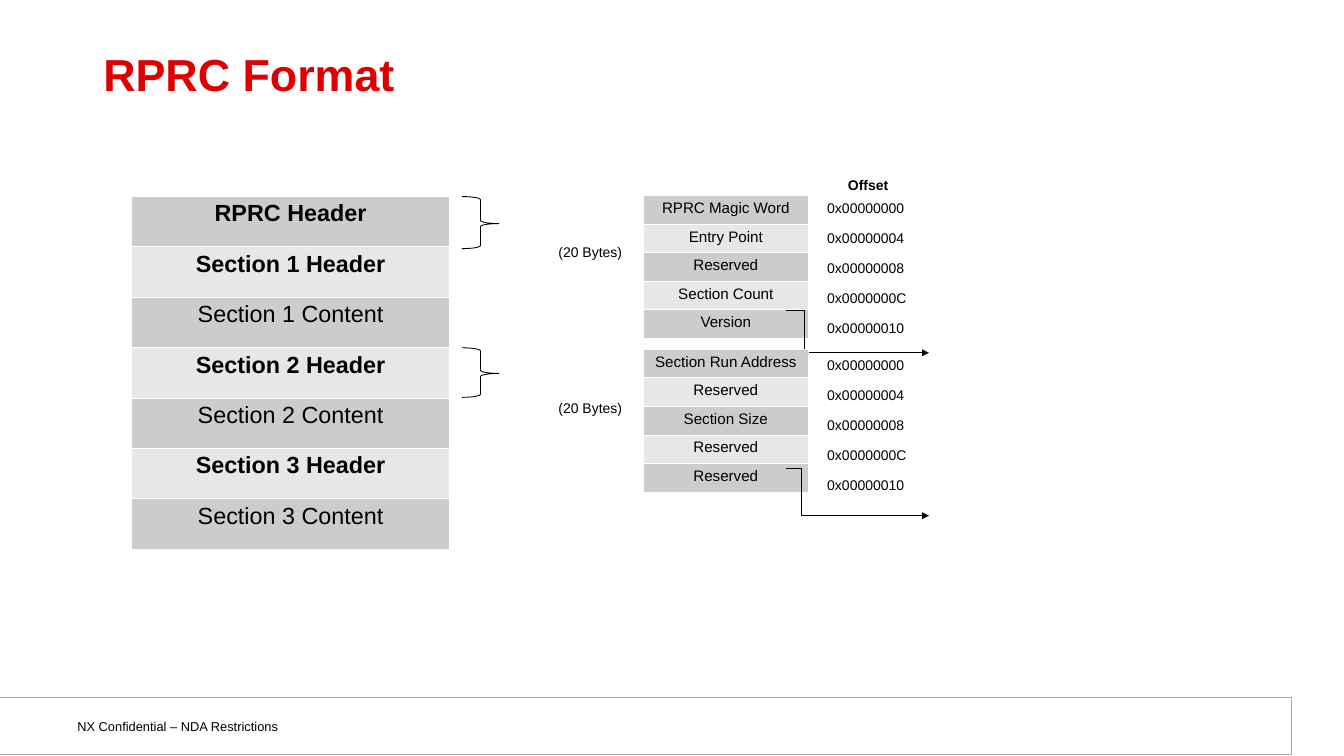
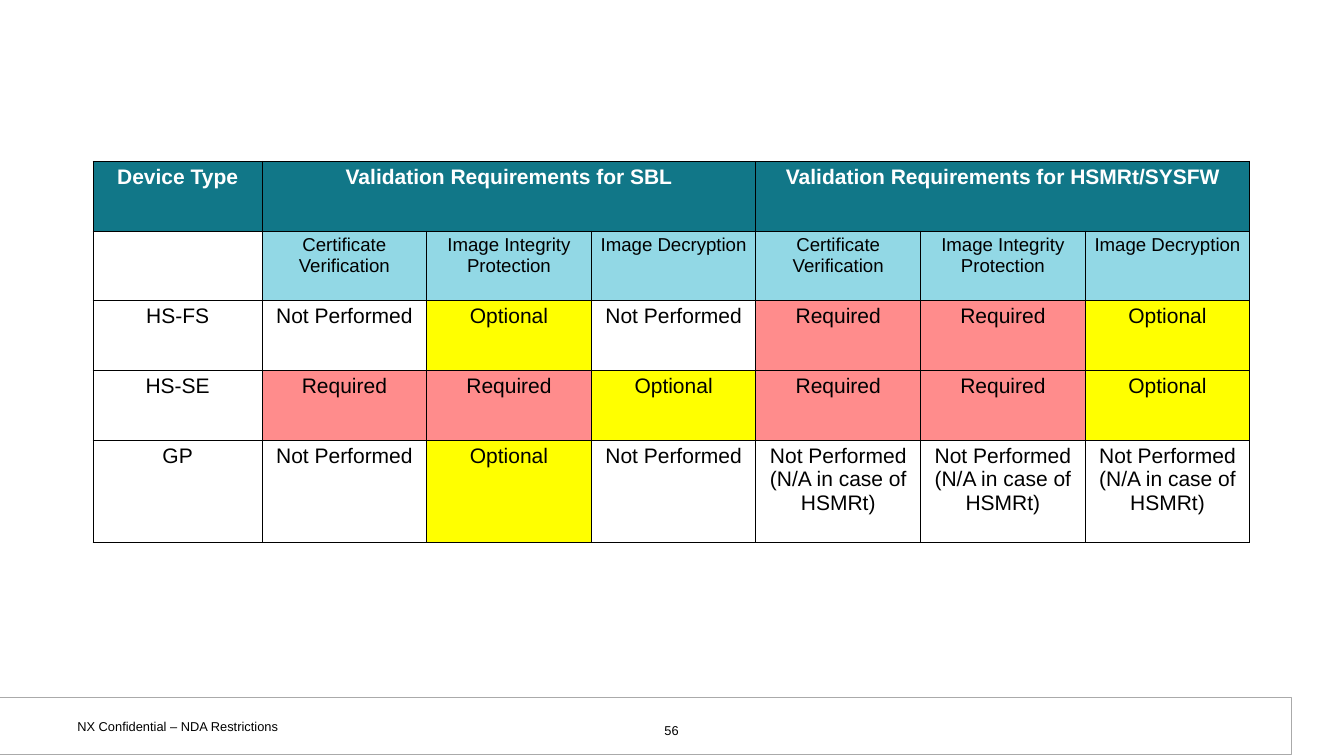
from dataclasses import dataclass

from lxml import etree
from pptx import Presentation
from pptx.dml.color import RGBColor
from pptx.enum.shapes import MSO_CONNECTOR, MSO_SHAPE
from pptx.enum.text import MSO_ANCHOR, PP_ALIGN
from pptx.oxml.ns import qn
from pptx.slide import Slide
from pptx.table import _Cell
from pptx.text.text import TextFrame
from pptx.util import Inches, Pt

LEFT, CENTER = PP_ALIGN.LEFT, PP_ALIGN.CENTER
TOP, MIDDLE = MSO_ANCHOR.TOP, MSO_ANCHOR.MIDDLE
RECTANGLE, BRACE = MSO_SHAPE.RECTANGLE, MSO_SHAPE.RIGHT_BRACE
ELBOW = MSO_CONNECTOR.ELBOW

COLORS = {
    "black": "000000",
    "white": "FFFFFF",
    "title": "DE0000",
    "footer_line": "AAAAAA",
    "band_dark": "CCCCCC",
    "band_light": "E7E7E7",
    "header": "117788",
    "subheader": "92D8E5",
    "optional": "FFFF00",
    "required": "FF8C8C",
}
STATUS_FILLS = {"Optional": "optional", "Required": "required"}
NARROW_MARGINS = (0.1, 0.05)
WIDE_MARGINS = (0.13, 0.07)
BAND_MARGINS = (0.12, 0.05)
LINE_WIDTH = 0.75
BORDER_WIDTH = 0.96


@dataclass(frozen=True)
class TextStyle:
    size: float
    color: str = "black"
    bold: bool = False
    alignment: PP_ALIGN = LEFT
    line_spacing: float = 1.0


@dataclass(frozen=True)
class Box:
    left: float
    top: float
    width: float
    height: float

    def lengths(self) -> tuple:
        return tuple(Inches(v) for v in (self.left, self.top, self.width, self.height))


@dataclass(frozen=True)
class HeaderLayout:
    """Fields of one header with its size note, brace and arrow."""
    fields: tuple
    table_top: float
    offset_top: float
    note_top: float
    brace: Box
    arrow: Box
    bend: int


TITLE = TextStyle(38.4, "title", True, line_spacing=0.85)
FOOTER = TextStyle(11)
PAGE_NUMBER = TextStyle(11, alignment=CENTER)
LABEL = TextStyle(12)
OFFSET_TITLE = TextStyle(12, bold=True, alignment=CENTER)
SECTION = TextStyle(20, alignment=CENTER)
SECTION_HEADER = TextStyle(20, bold=True, alignment=CENTER)
FIELD = TextStyle(13, alignment=CENTER)
TABLE_HEADER = TextStyle(18, "white", True, CENTER)
TABLE_SUBHEADER = TextStyle(16, alignment=CENTER)
TABLE_BODY = TextStyle(18, alignment=CENTER)

SECTIONS = ("RPRC Header", "Section 1 Header", "Section 1 Content", "Section 2 Header",
            "Section 2 Content", "Section 3 Header", "Section 3 Content")
OFFSETS = ("0x00000000", "0x00000004", "0x00000008", "0x0000000C", "0x00000010")
OFFSET_SPAN = 1.42
HEADERS = (
    HeaderLayout(("RPRC Magic Word", "Entry Point", "Reserved", "Section Count", "Version"),
                 2.33, 2.33, 2.85, Box(5.5, 2.34, 0.44, 0.62),
                 Box(9.36, 3.69, 1.7, 0.51), 12600),
    HeaderLayout(("Section Run Address", "Reserved", "Section Size", "Reserved", "Reserved"),
                 4.16, 4.2, 4.71, Box(5.5, 4.14, 0.44, 0.59),
                 Box(9.36, 5.58, 1.7, 0.56), 11000),
)

CHECKS = ("Certificate Verification", "Image Integrity Protection", "Image Decryption")
SKIPPED = "Not Performed"
NOT_APPLICABLE = "Not Performed\n(N/A in case of HSMRt)"
REQUIREMENTS = (
    ("Device Type", "Validation Requirements for SBL", "", "",
     "Validation Requirements for HSMRt/SYSFW", "", ""),
    ("", *CHECKS * 2),
    ("HS-FS", SKIPPED, "Optional", SKIPPED, "Required", "Required", "Optional"),
    ("HS-SE", *("Required", "Required", "Optional") * 2),
    ("GP", SKIPPED, "Optional", SKIPPED, *(NOT_APPLICABLE,) * 3),
)
REQUIREMENT_WIDTHS = (2.01, *(1.96,) * 6)
REQUIREMENT_HEIGHTS = (*(0.83,) * 4, 1.22)


def rgb(name: str) -> RGBColor:
    return RGBColor.from_string(COLORS[name])


def write_text(frame: TextFrame, text: str, style: TextStyle) -> None:
    frame.text = text
    font_values = {"name": "Arial", "size": Pt(style.size), "bold": style.bold}
    for paragraph in frame.paragraphs:
        paragraph.alignment = style.alignment
        paragraph.line_spacing = style.line_spacing
        for run in paragraph.runs:
            for attribute, value in font_values.items():
                setattr(run.font, attribute, value)
            run.font.color.rgb = rgb(style.color)


def set_margins(target: TextFrame | _Cell, margins: tuple[float, float]) -> None:
    horizontal, vertical = (Inches(margin) for margin in margins)
    values = {"margin_left": horizontal, "margin_right": horizontal,
              "margin_top": vertical, "margin_bottom": vertical}
    for attribute, value in values.items():
        setattr(target, attribute, value)


def add_text(slide: Slide, box: Box, text: str, style: TextStyle,
             margins: tuple[float, float] = NARROW_MARGINS,
             anchor: MSO_ANCHOR = TOP) -> None:
    frame = slide.shapes.add_textbox(*box.lengths()).text_frame
    frame.word_wrap = True
    frame.vertical_anchor = anchor
    set_margins(frame, margins)
    write_text(frame, text, style)


def add_outline(slide: Slide, kind: MSO_SHAPE, box: Box, line: str,
                fill: str | None = None, adjustments: tuple = ()) -> None:
    shape = slide.shapes.add_shape(kind, *box.lengths())
    shape.shadow.inherit = False
    if fill:
        shape.fill.solid()
        shape.fill.fore_color.rgb = rgb(fill)
    else:
        shape.fill.background()
    shape.line.color.rgb = rgb(line)
    shape.line.width = Pt(LINE_WIDTH)
    for index, value in enumerate(adjustments):
        shape.adjustments[index] = value


def add_elbow_arrow(slide: Slide, box: Box, bend: int) -> None:
    """Arrow from top left to bottom right, bent at a share of the width."""
    left, top, width, height = box.lengths()
    connector = slide.shapes.add_connector(ELBOW, left, top, left + width, top + height)
    connector.line.color.rgb = rgb("black")
    connector.line.width = Pt(LINE_WIDTH)
    properties = connector._element.spPr
    guides = properties.find(qn("a:prstGeom")).find(qn("a:avLst"))
    etree.SubElement(guides, qn("a:gd"), name="adj1", fmla=f"val {bend}")
    etree.SubElement(properties.find(qn("a:ln")), qn("a:tailEnd"), type="triangle")
    etree.SubElement(properties, qn("a:effectLst"))


def format_cell(cell: _Cell, text: str, style: TextStyle, fill: str, border: str,
                margins: tuple[float, float] = NARROW_MARGINS) -> None:
    properties = cell._tc.get_or_add_tcPr()
    for side in ("lnL", "lnR", "lnT", "lnB"):
        line = etree.SubElement(properties, qn(f"a:{side}"), w=str(int(Pt(BORDER_WIDTH))))
        solid = etree.SubElement(line, qn("a:solidFill"))
        etree.SubElement(solid, qn("a:srgbClr"), val=COLORS[border])
    cell.fill.solid()
    cell.fill.fore_color.rgb = rgb(fill)
    set_margins(cell, margins)
    write_text(cell.text_frame, text, style)


def add_plain_table(slide: Slide, left: float, top: float, widths: tuple, heights: tuple):
    box = Box(left, top, sum(widths), sum(heights))
    table = slide.shapes.add_table(len(heights), len(widths), *box.lengths()).table
    table.first_row = table.horz_banding = False
    for column, width in zip(table.columns, widths):
        column.width = Inches(width)
    for row, height in zip(table.rows, heights):
        row.height = Inches(height)
    return table


def add_banded_list(slide: Slide, box: Box, entries: tuple, styles: list) -> None:
    heights = (box.height / len(entries),) * len(entries)
    table = add_plain_table(slide, box.left, box.top, (box.width,), heights)
    for index, (entry, style) in enumerate(zip(entries, styles)):
        fill = "band_light" if index % 2 else "band_dark"
        format_cell(table.cell(index, 0), entry, style, fill, "white", BAND_MARGINS)


def add_base_slide(presentation: Presentation) -> Slide:
    slide = presentation.slides.add_slide(presentation.slide_layouts[6])
    add_outline(slide, RECTANGLE, Box(-0.03, 8.3, 15.4, 0.68), "footer_line", "white")
    add_text(slide, Box(0.79, 8.48, 3.69, 0.31), "NX Confidential – NDA Restrictions",
             FOOTER, WIDE_MARGINS)
    return slide


def build_format_slide(presentation: Presentation) -> None:
    slide = add_base_slide(presentation)
    add_text(slide, Box(1.1, 0.48, 13.8, 0.89), "RPRC Format", TITLE, WIDE_MARGINS, MIDDLE)
    section_styles = [SECTION_HEADER if name.endswith("Header") else SECTION
                      for name in SECTIONS]
    add_banded_list(slide, Box(1.57, 2.34, 3.78, 4.2), SECTIONS, section_styles)
    add_text(slide, Box(9.42, 2.05, 1.83, 0.3), "Offset", OFFSET_TITLE)
    for header in HEADERS:
        add_outline(slide, BRACE, header.brace, "black", adjustments=(0.083, 0.518))
        add_text(slide, Box(6.55, header.note_top, 1.83, 0.3), "(20 Bytes)", LABEL)
        add_banded_list(slide, Box(7.66, header.table_top, 1.96, 1.7), header.fields,
                        [FIELD] * len(header.fields))
        add_elbow_arrow(slide, header.arrow, header.bend)
        for index, offset in enumerate(OFFSETS):
            top = header.offset_top + OFFSET_SPAN * index / (len(OFFSETS) - 1)
            add_text(slide, Box(9.75, top, 1.83, 0.3), offset, LABEL)


def requirement_look(row: int, text: str) -> tuple[TextStyle, str]:
    """Text style and fill of one cell in the requirements table."""
    if row == 0:
        return TABLE_HEADER, "header"
    if row == 1:
        return TABLE_SUBHEADER, "subheader" if text else "white"
    return TABLE_BODY, STATUS_FILLS.get(text, "white")


def build_requirements_slide(presentation: Presentation) -> None:
    slide = add_base_slide(presentation)
    add_text(slide, Box(6.13, 8.53, 3.73, 0.27), "56", PAGE_NUMBER, WIDE_MARGINS)
    table = add_plain_table(slide, 1.11, 1.92, REQUIREMENT_WIDTHS, REQUIREMENT_HEIGHTS)
    for row, texts in enumerate(REQUIREMENTS):
        for column, text in enumerate(texts):
            style, fill = requirement_look(row, text)
            format_cell(table.cell(row, column), text, style, fill, "black")
    for first in (1, 4):
        table.cell(0, first).merge(table.cell(0, first + 2))


def main() -> None:
    presentation = Presentation()
    presentation.slide_width = Inches(16)
    presentation.slide_height = Inches(9)
    build_format_slide(presentation)
    build_requirements_slide(presentation)
    presentation.save("out.pptx")


if __name__ == "__main__":
    main()
